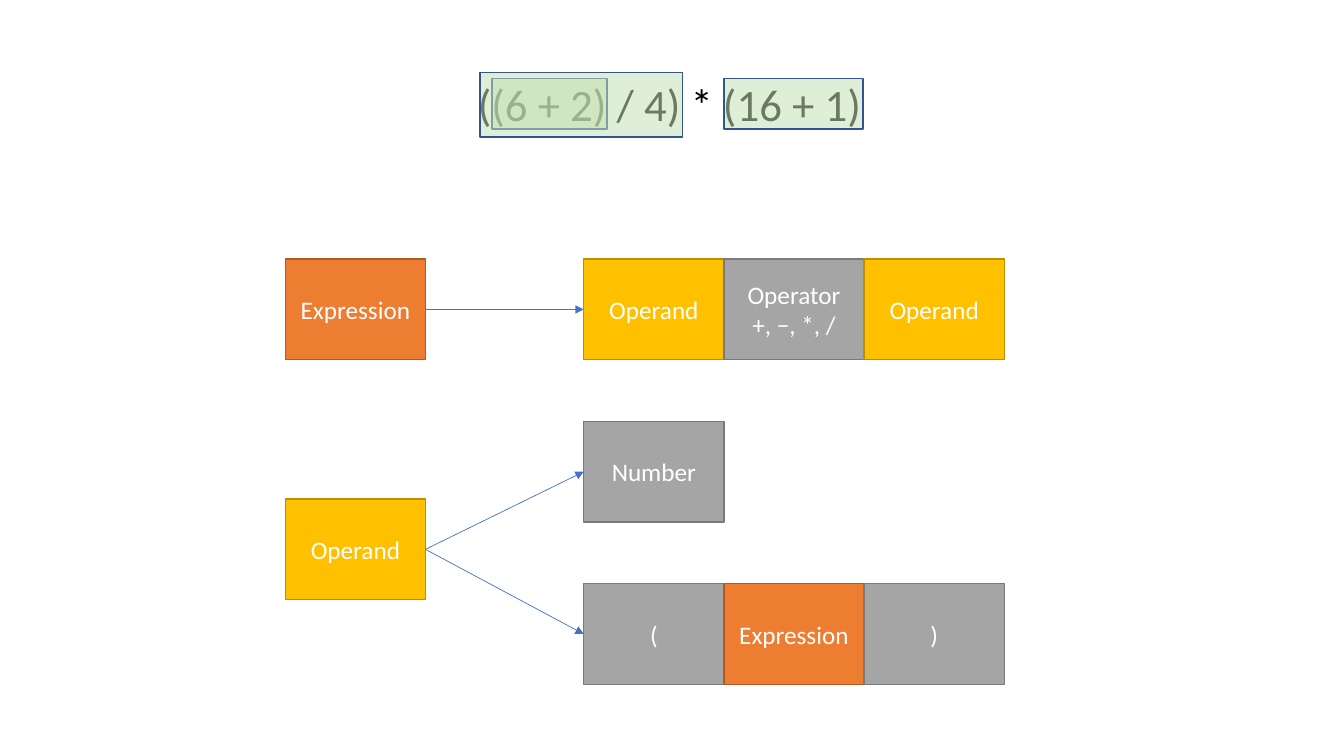
import pptx
import pptx.util
import pptx.dml.color
import pptx.enum.shapes
import pptx.enum.text
import pptx.oxml
import pptx.oxml.ns

PX = 9144
BOX_W, BOX_H = 139, 100
LEFT_X, RIGHT_X = 283, 579
RULE_Y, OPERAND_Y, NUMBER_Y, GROUP_Y = 257, 495, 418, 579
COLORS = {
    "expression": "ED7D31", "expression_line": "AF5C24",
    "operand": "FFC000", "operand_line": "BD8E00",
    "terminal": "A5A5A5", "terminal_line": "7A7A7A",
    "mark": "C5E0B4", "mark_line": "325491",
    "arrow": "4472C4", "black": "000000", "white": "FFFFFF",
}


def write(tf, text, size=18, color="white", align=pptx.enum.text.PP_ALIGN.CENTER):
    for i, line in enumerate(text.split("\n")):
        p = tf.paragraphs[0] if i == 0 else tf.add_paragraph()
        p.alignment = align
        r = p.add_run()
        r.text = line
        r.font.name = "Calibri"
        r.font.size = pptx.util.Pt(size)
        r.font.color.rgb = pptx.dml.color.RGBColor.from_string(COLORS[color])


def add_box(s, x, y, w, h, kind):
    sp = s.shapes.add_shape(pptx.enum.shapes.MSO_SHAPE.RECTANGLE,
                            x * PX, y * PX, w * PX, h * PX)
    sp.shadow.inherit = False
    sp.fill.solid()
    sp.fill.fore_color.rgb = pptx.dml.color.RGBColor.from_string(COLORS[kind])
    sp.line.color.rgb = pptx.dml.color.RGBColor.from_string(COLORS[kind + "_line"])
    sp.line.width = pptx.util.Pt(1)
    return sp


prs = pptx.Presentation()
prs.slide_width = 1333 * PX
prs.slide_height = 750 * PX
s = prs.slides.add_slide(prs.slide_layouts[6])

for from_y, to_y in [(OPERAND_Y, GROUP_Y), (OPERAND_Y, NUMBER_Y), (RULE_Y, RULE_Y)]:
    arrow = s.shapes.add_connector(
        pptx.enum.shapes.MSO_CONNECTOR.STRAIGHT,
        (LEFT_X + BOX_W) * PX, (from_y + BOX_H // 2) * PX,
        RIGHT_X * PX, (to_y + BOX_H // 2) * PX)
    arrow.line.color.rgb = pptx.dml.color.RGBColor.from_string(COLORS["arrow"])
    arrow.line.width = pptx.util.Pt(0.5)
    tail = pptx.oxml.parse_xml(
        f'<a:tailEnd {pptx.oxml.ns.nsdecls("a")} type="triangle"/>')
    arrow.line._get_or_add_ln().append(tail)
    effects = pptx.oxml.parse_xml(f'<a:effectLst {pptx.oxml.ns.nsdecls("a")}/>')
    arrow._element.spPr.append(effects)

rows = [
    (RIGHT_X, RULE_Y, [("Operand", "operand"), ("Operator\n+, −, *, /", "terminal"),
                       ("Operand", "operand")]),
    (LEFT_X, RULE_Y, [("Expression", "expression")]),
    (LEFT_X, OPERAND_Y, [("Operand", "operand")]),
    (RIGHT_X, NUMBER_Y, [("Number", "terminal")]),
    (RIGHT_X, GROUP_Y, [("(", "terminal"), ("Expression", "expression"),
                        (")", "terminal")]),
]
for x, y, boxes in rows:
    for i, (text, kind) in enumerate(boxes):
        sp = add_box(s, x + i * BOX_W, y, BOX_W, BOX_H, kind)
        sp.text_frame.vertical_anchor = pptx.enum.text.MSO_ANCHOR.MIDDLE
        write(sp.text_frame, text)

formula = s.shapes.add_textbox(464 * PX, 71 * PX, 405 * PX, 64 * PX)
formula.text_frame.word_wrap = False
formula.text_frame.auto_size = pptx.enum.text.MSO_AUTO_SIZE.SHAPE_TO_FIT_TEXT
write(formula.text_frame, "((6 + 2) / 4) * (16 + 1)", size=32, color="black",
      align=pptx.enum.text.PP_ALIGN.LEFT)

for x, y, w, h in [(718, 78, 138, 50), (488, 78, 114, 50), (476, 72, 201, 64)]:
    mark = add_box(s, x, y, w, h, "mark")
    alpha = pptx.oxml.parse_xml(
        f'<a:alpha {pptx.oxml.ns.nsdecls("a")} val="54000"/>')
    mark._element.spPr.find(".//" + pptx.oxml.ns.qn("a:srgbClr")).append(alpha)

prs.save("out.pptx")
